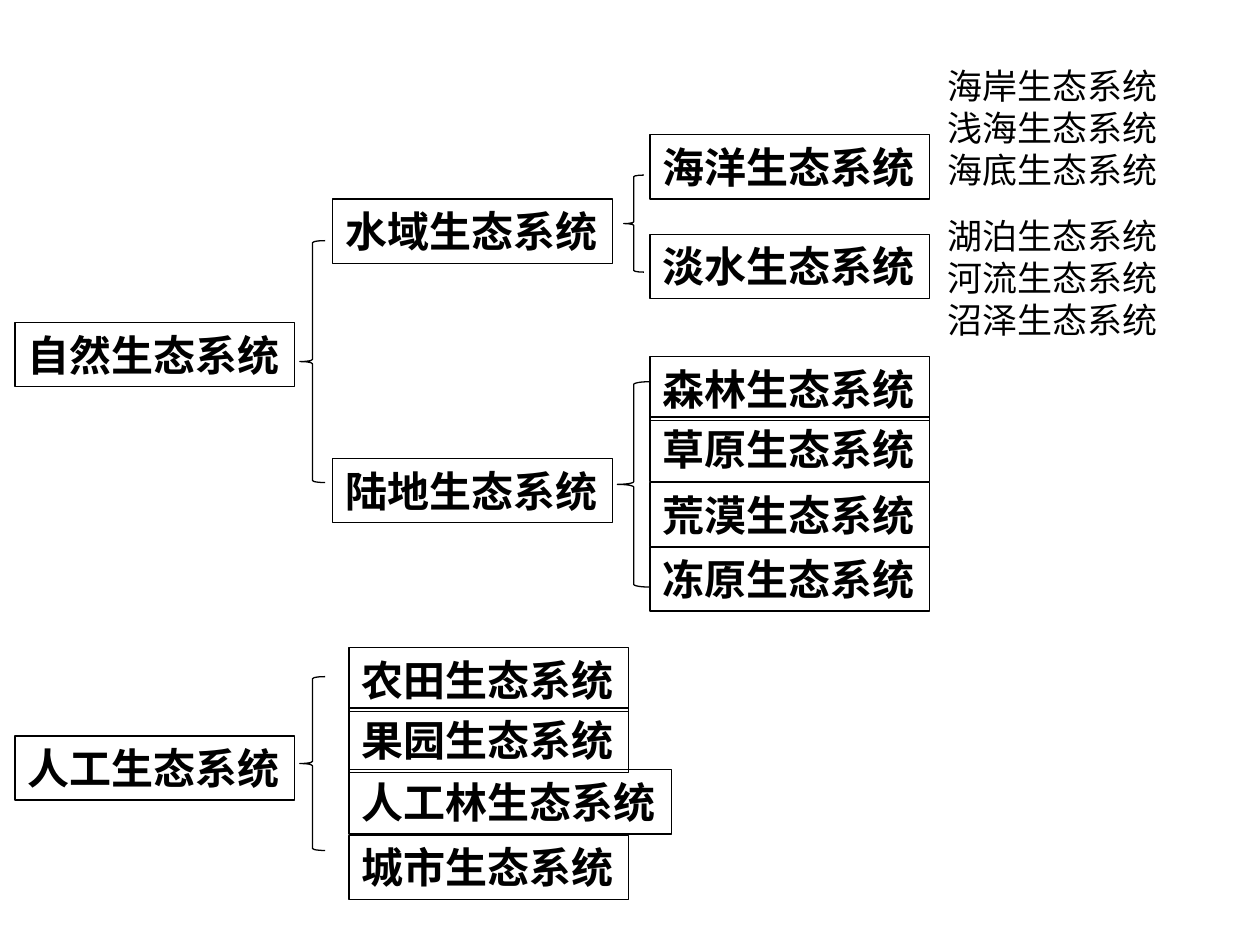
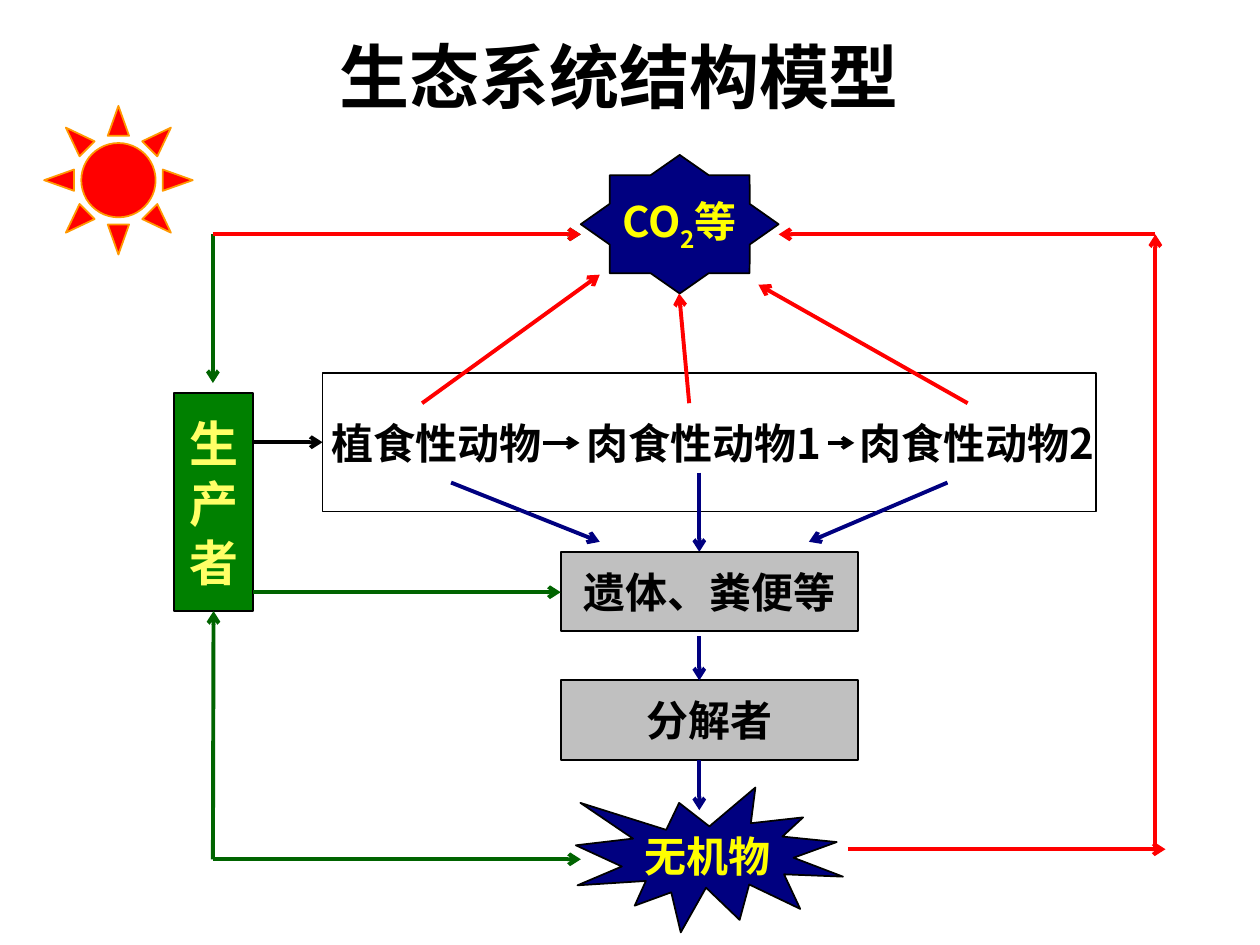
from lxml.etree import SubElement
from pptx import Presentation
from pptx.dml.color import RGBColor
from pptx.enum.shapes import MSO_CONNECTOR, MSO_SHAPE
from pptx.enum.text import MSO_ANCHOR, PP_ALIGN
from pptx.oxml.ns import qn
from pptx.util import Emu, Pt

FONT = "Noto Sans CJK SC"
BLACK = RGBColor(0x00, 0x00, 0x00)
GREEN = RGBColor(0x00, 0x80, 0x00)
FOREST = RGBColor(0x00, 0x64, 0x00)
NAVY = RGBColor(0x00, 0x00, 0x80)
RED = RGBColor(0xFF, 0x00, 0x00)
ORANGE = RGBColor(0xFF, 0x99, 0x00)
YELLOW = RGBColor(0xFF, 0xFF, 0x00)
LEMON = RGBColor(0xFF, 0xFF, 0x66)
GREY = RGBColor(0xC0, 0xC0, 0xC0)
TOP, LEFT, BOTTOM, RIGHT = range(4)


def px(*values):
    """Turn lengths of 100 px to the inch into EMU."""
    return [Emu(value * 9144) for value in values]


def style(frame, size, color, bold=True, align=PP_ALIGN.CENTER, pitch=None):
    """Format every paragraph and run of a text frame."""
    for para in frame.paragraphs:
        para.alignment = align
        if pitch:
            para.line_spacing = Pt(pitch)
        for run in para.runs:
            font = run.font
            font.name, font.size, font.bold = FONT, Pt(size), bold
            font.color.rgb = color
            SubElement(run._r.get_or_add_rPr(), qn("a:ea"), typeface=FONT)


def draw(slide, kind, box, fill=None, line=BLACK, width=1):
    """Add a preset shape with a flat fill and outline."""
    shape = slide.shapes.add_shape(kind, *px(*box))
    shape.shadow.inherit = False
    if fill is None:
        shape.fill.background()
    else:
        shape.fill.solid()
        shape.fill.fore_color.rgb = fill
    shape.line.color.rgb = line
    shape.line.width = Pt(width)
    return shape


def label(shape, text, size=24, color=BLACK, pitch=None):
    """Write centred bold text in the middle of a shape."""
    frame = shape.text_frame
    frame.text = text
    frame.word_wrap = False
    frame.vertical_anchor = MSO_ANCHOR.MIDDLE
    style(frame, size, color, pitch=pitch)
    return shape


def node(slide, text, x, y, w=222):
    """Add one outlined box of the tree."""
    shape = draw(slide, MSO_SHAPE.RECTANGLE, (x, y, w, 51), width=0.75)
    frame = shape.text_frame
    frame.text = text
    frame.word_wrap = False
    frame.vertical_anchor = MSO_ANCHOR.TOP
    style(frame, 24, BLACK, align=PP_ALIGN.LEFT, pitch=29)


def brace(slide, *box):
    """Add a brace that opens to the right."""
    draw(slide, MSO_SHAPE.LEFT_BRACE, box, width=0.75)


def leaves(slide, kinds, x, y, w):
    """List the finest kinds of ecosystem."""
    frame = slide.shapes.add_textbox(*px(x, y, w, 111)).text_frame
    frame.text = "\n".join(kind + "生态系统" for kind in kinds)
    frame.word_wrap = True
    style(frame, 20, BLACK, bold=False, align=PP_ALIGN.LEFT, pitch=24)


def natural(slide, x, y):
    """Build the tree of natural ecosystems."""
    nodes = (("自然", 0, 210), ("水域", 252, 112), ("陆地", 252, 318),
             ("海洋", 504, 61), ("淡水", 504, 140), ("冻原", 504, 388),
             ("荒漠", 504, 337), ("草原", 504, 285), ("森林", 504, 237))
    for name, dx, dy in nodes:
        node(slide, name + "生态系统", x + dx, y + dy)
    brace(slide, x + 226, y + 145, 20, 192)
    brace(slide, x + 483, y + 93, 16, 77)
    brace(slide, x + 478, y + 257, 26, 163)
    leaves(slide, ("海岸", "浅海", "海底"), x + 730, y, 230)
    leaves(slide, ("湖泊", "河流", "沼泽"), x + 730, y + 119, 294)


def artificial(slide, x, y):
    """Build the tree of artificial ecosystems."""
    node(slide, "人工生态系统", x, y + 70)
    brace(slide, x + 226, y + 23, 20, 138)
    rows = (("城市", 149, 222), ("人工林", 97, 256), ("果园", 48, 222), ("农田", 0, 222))
    for name, dy, w in rows:
        node(slide, name + "生态系统", x + 265, y + dy, w)


def arrow(slide, points, color, start=None, end=None):
    """Add an arrow; start and end are pairs of shape and side."""
    line = slide.shapes.add_connector(MSO_CONNECTOR.STRAIGHT, *px(*points))
    line.line.color.rgb = color
    line.line.width = Pt(2.25)
    SubElement(line.line._get_or_add_ln(), qn("a:tailEnd"), type="arrow")
    SubElement(line._element.spPr, qn("a:effectLst"))
    if start:
        line.begin_connect(*start)
    if end:
        line.end_connect(*end)


def heading(slide, text, *box):
    """Place and format the title."""
    title = slide.shapes.title
    title.left, title.top, title.width, title.height = px(*box)
    label(title, text, 40)
    title.text_frame.word_wrap = True


def maker(slide, x, y):
    """Add the upright box of the producers."""
    shape = draw(slide, MSO_SHAPE.RECTANGLE, (x, y, 63, 173), GREEN)
    return label(shape, "生\n产\n者", 28, LEMON, pitch=34)


def feeders(slide, x, y):
    """Add the food chain of animals and its arrows."""
    frame = draw(slide, MSO_SHAPE.RECTANGLE, (x, y, 614, 110))
    arrow(slide, (x - 55, y + 55, x, y + 55), BLACK, end=(frame, LEFT))
    last = None
    for text, dx, w in (("植食性动物", 6, 169), ("肉食性动物1", 204, 197),
                        ("肉食性动物2", 422, 195)):
        box = slide.shapes.add_textbox(*px(x + dx, y + 32, w, 47))
        label(box, text)
        box.text_frame.margin_left = box.text_frame.margin_right = 0
        if last:
            points = (x + dx - 24, y + 56, x + dx, y + 56)
            arrow(slide, points, BLACK, (last, RIGHT), (box, LEFT))
        last = box
    for x1, x2, y2 in ((79, 220, -78), (291, 283, -63), (512, 346, -70)):
        arrow(slide, (x + x1, y + 24, x + x2, y + y2), RED)
    for x1, y1, x2, y2 in ((102, 87, 220, 134), (299, 79, 299, 142), (496, 87, 386, 134)):
        arrow(slide, (x + x1, y + y1, x + x2, y + y2), NAVY)


def decay(slide, x, y):
    """Add the remains, the decomposers and the arrows below them."""
    for text, dy in (("遗体、粪便等", 0), ("分解者", 102)):
        label(draw(slide, MSO_SHAPE.RECTANGLE, (x, y + dy, 236, 63), GREY), text)
    for y1, y2 in ((67, 102), (165, 205)):
        arrow(slide, (x + 110, y + y1, x + 110, y + y2), NAVY)


def matter(slide, x, y):
    """Add the sun, the gases and the minerals."""
    sun = draw(slide, MSO_SHAPE.SUN, (x, y, 118, 118), RED, ORANGE)
    sun.adjustments[0] = 0.25
    star = draw(slide, MSO_SHAPE.STAR_8_POINT, (x + 426, y + 39, 157, 110), NAVY)
    star.adjustments[0] = 0.383
    para = star.text_frame.paragraphs[0]
    for text in ("CO", "2", "等"):
        para.add_run().text = text
    star.text_frame.word_wrap = False
    star.text_frame.vertical_anchor = MSO_ANCHOR.MIDDLE
    style(star.text_frame, 24, YELLOW)
    para.runs[1]._r.get_or_add_rPr().set("baseline", "-25000")
    burst = draw(slide, MSO_SHAPE.EXPLOSION1, (x + 422, y + 541, 212, 115), NAVY)
    label(burst, "无机物", color=YELLOW)


def cycle(slide, x, y, source):
    """Add the arrows that run around the model."""
    routes = (((0, 0, 292, 0), FOREST), ((0, 0, 0, 118), FOREST),
              ((0, 0, 292, 0), RED), ((32, 284, 276, 284), FOREST),
              ((0, 496, 292, 496), FOREST), ((748, 0, 449, 0), RED),
              ((748, 488, 748, 0), RED), ((504, 488, 756, 488), RED))
    for (x1, y1, x2, y2), color in routes:
        arrow(slide, (x + x1, y + y1, x + x2, y + y2), color)
    arrow(slide, (x, y + 496, x, y + 299), FOREST, end=(source, BOTTOM))


def main():
    """Build both slides and save them."""
    deck = Presentation()
    deck.slide_width, deck.slide_height = px(1000, 750)
    kinds = deck.slides.add_slide(deck.slide_layouts[6])
    natural(kinds, 12, 46)
    artificial(kinds, 12, 514)
    model = deck.slides.add_slide(deck.slide_layouts[5])
    heading(model, "生态系统结构模型", 81, 21, 821, 78)
    source = maker(model, 138, 312)
    matter(model, 35, 84)
    feeders(model, 256, 296)
    decay(model, 445, 438)
    cycle(model, 169, 186, source)
    deck.save("out.pptx")


if __name__ == "__main__":
    main()
